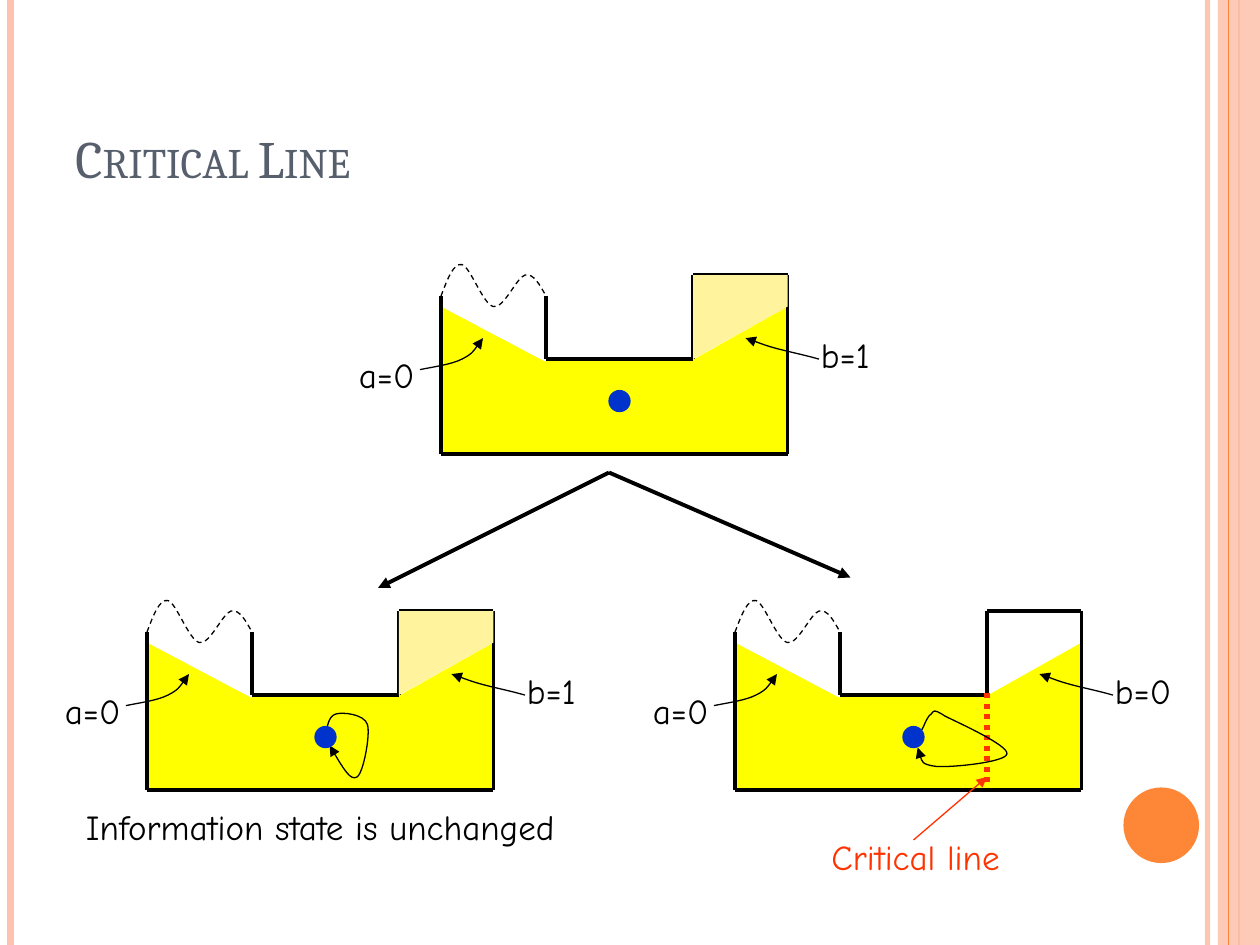
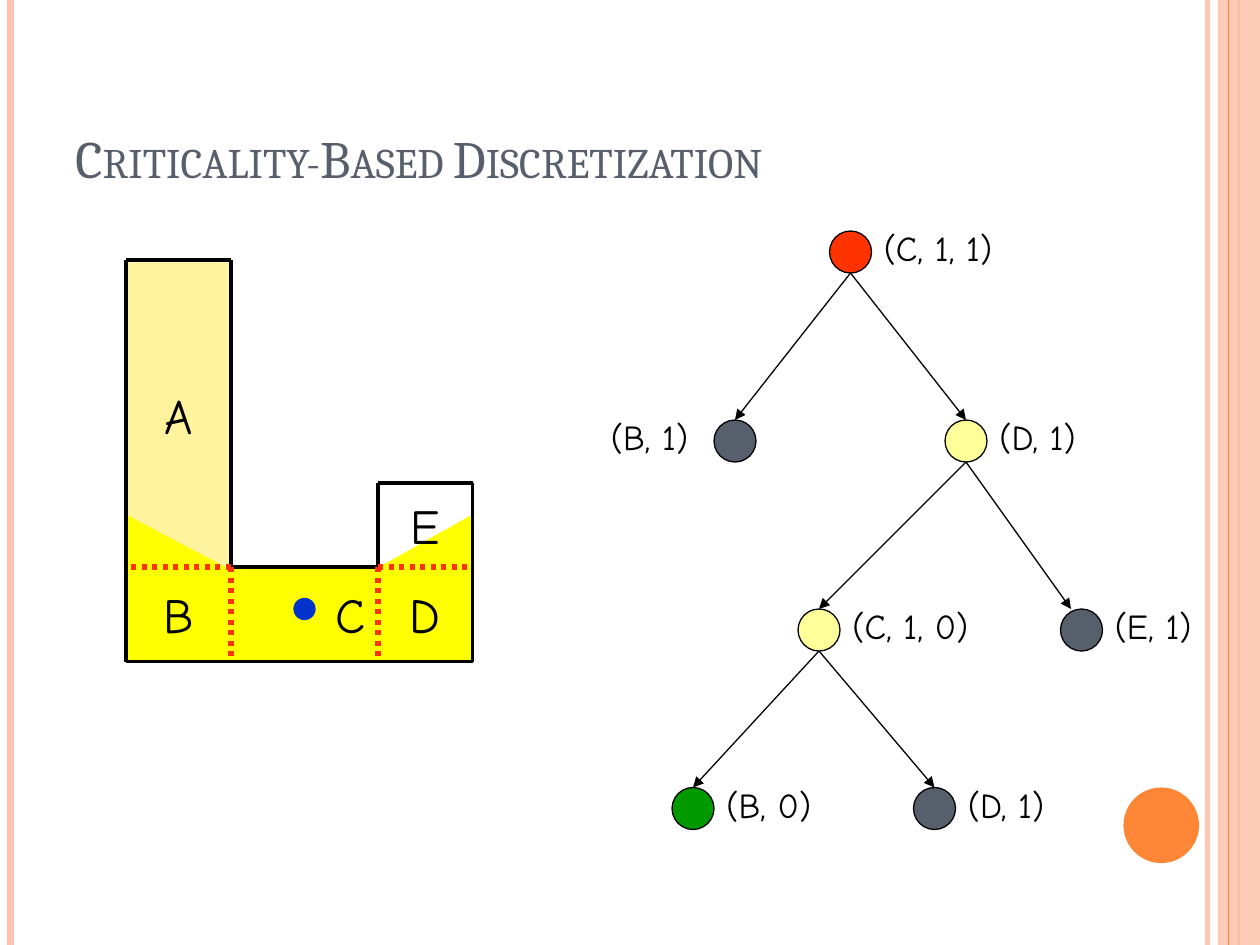
"""Build two slides on critical lines and criticality-based discretization."""
from itertools import pairwise

from lxml.etree import SubElement
from pptx import Presentation
from pptx.dml.color import RGBColor
from pptx.enum.dml import MSO_LINE
from pptx.enum.shapes import MSO_CONNECTOR, MSO_SHAPE
from pptx.enum.text import MSO_ANCHOR, MSO_AUTO_SIZE, PP_ALIGN
from pptx.oxml.ns import qn
from pptx.util import Emu, Pt

PX = 7620
BLACK, RED, BLUE = "000000", "FF3300", "0033CC"
YELLOW, SAND, PALE = "FFFF00", "FFF39D", "FFFF99"
SLATE, GREEN, ORANGE, PEACH = "575F6D", "009900", "FE8637", "FEC3AE"

ALCOVE = (100, 60)
NICHE = (240, 60)
WALLS = [(100, 0), ALCOVE, NICHE, (240, -20), (330, -20), (330, 150), (0, 150), (0, 0)]
LIT_AREA = [(0, 10), (170, 100), (330, 10), (330, 150), (0, 150)]
SHADED_NICHE = [(240, -20), (330, -20), (330, 10), NICHE]
OPEN_END = [(0, 0), (6, -16), (12, -32), (20, -30), (28, -28), (40, 8), (50, 10),
            (60, 12), (72, -18), (80, -20), (88, -22), (94, -11), (100, 0)]
A_POINTER = [(-20, 70), (-5, 67), (10, 65), (20, 60), (30, 55), (35, 47), (40, 40)]
B_POINTER = [(360, 60), (346, 56), (331, 53), (320, 50), (309, 47), (299, 43), (290, 40)]
SHORT_LOOP = [(170, 98), (172, 89), (173, 80), (180, 78), (186, 76), (207, 78), (210, 88),
              (213, 98), (206, 135), (200, 138), (194, 142), (184, 125), (174, 108)]
LONG_LOOP = [(178, 93), (180, 90), (183, 80), (187, 78), (189, 76), (188, 72), (200, 80),
             (212, 86), (261, 108), (259, 116), (258, 124), (206, 129), (192, 128),
             (177, 126), (176, 118), (174, 110)]


def rgb(value):
    """Turn a hex string into a colour."""
    return RGBColor.from_string(value)


def set_alpha(element, percent):
    """Make the first solid colour of an element partly transparent."""
    color = element.find(".//" + qn("a:srgbClr"))
    SubElement(color, qn("a:alpha"), val=str(percent * 1000))


class Deck:
    """Hold the style, the current slide and the origin of the drawing."""

    def __init__(self):
        """Open an empty deck of 1200 by 900 px."""
        self.prs = Presentation()
        self.prs.slide_width, self.prs.slide_height = Emu(1200 * PX), Emu(900 * PX)
        self.slide = None
        self.origin = (0, 0)

    def place(self, x, y):
        """Turn a point relative to the origin into EMU."""
        return Emu((self.origin[0] + x) * PX), Emu((self.origin[1] + y) * PX)

    def add_slide(self, title):
        """Start a slide with the side bands, the disc and a title."""
        self.slide = self.prs.slides.add_slide(self.prs.slide_layouts[6])
        self.origin = (0, 0)
        self.line((1150, 0), (1150, 900), PEACH, 3, alpha=93)
        self.line((10, 0), (10, 900), PEACH, 4.5)
        self.line((1180, 0), (1180, 900), ORANGE, 1.5)
        self.shape(MSO_SHAPE.RECTANGLE, (1160, 0, 40, 900), PEACH, alpha=87)
        self.line((1170, 0), (1170, 900), ORANGE, 0.75)
        self.shape(MSO_SHAPE.OVAL, (1070, 750, 72, 72), ORANGE)
        heading = self.text(title, (60, 36, 980, 150), 30, SLATE, "Cambria")
        heading.text_frame.vertical_anchor = MSO_ANCHOR.BOTTOM
        heading.element.find(".//" + qn("a:defRPr")).set("cap", "small")

    def stroke(self, item, color, width, dash=None, arrow=False):
        """Style the line of a shape or connector."""
        item.line.color.rgb = rgb(color)
        item.line.width = Pt(width)
        if dash:
            item.line.dash_style = dash
        if arrow:
            SubElement(item.element.find(".//" + qn("a:ln")), qn("a:tailEnd"), type="triangle")

    def paint(self, item, fill=None, outline=None):
        """Fill and outline a shape, without a shadow."""
        item.shadow.inherit = False
        if fill:
            item.fill.solid()
            item.fill.fore_color.rgb = rgb(fill)
        else:
            item.fill.background()
        if outline:
            self.stroke(item, outline, 0.75)
        else:
            item.line.fill.background()

    def line(self, start, end, color=BLACK, width=2.25, dash=None, arrow=False, alpha=None):
        """Draw a straight line or arrow."""
        connector = self.slide.shapes.add_connector(
            MSO_CONNECTOR.STRAIGHT, *self.place(*start), *self.place(*end))
        self.stroke(connector, color, width, dash, arrow)
        if alpha:
            set_alpha(connector.element, alpha)
        SubElement(connector.element.find(qn("p:spPr")), qn("a:effectLst"))

    def shape(self, preset, box, fill, outline=None, alpha=None):
        """Draw a preset shape."""
        x, y, width, height = box
        item = self.slide.shapes.add_shape(
            preset, *self.place(x, y), Emu(width * PX), Emu(height * PX))
        self.paint(item, fill, outline)
        if alpha:
            set_alpha(item.element, alpha)

    def outline(self, points, closed):
        """Build a freeform through the points."""
        (x, y), *rest = [(self.origin[0] + x, self.origin[1] + y) for x, y in points]
        builder = self.slide.shapes.build_freeform(x, y, scale=PX)
        builder.add_line_segments(rest, close=closed)
        return builder.convert_to_shape()

    def polygon(self, points, fill):
        """Draw a filled polygon."""
        self.paint(self.outline(points, True), fill)

    def curve(self, points, dash=None, arrow=True):
        """Draw cubic curves, three points for each after the first."""
        item = self.outline(points, False)
        route = item.element.find(".//" + qn("a:path"))
        steps = route.findall(qn("a:lnTo"))
        for i in range(0, len(steps), 3):
            bezier = SubElement(route, qn("a:cubicBezTo"))
            for step in steps[i:i + 3]:
                bezier.append(step[0])
                route.remove(step)
        self.paint(item)
        self.stroke(item, BLACK, 0.75, dash, arrow)

    def text(self, words, box, size=20, color=BLACK, font="Comic Neue", align=None):
        """Write one paragraph in a wrapping box."""
        x, y, width, height = box
        item = self.slide.shapes.add_textbox(
            *self.place(x, y), Emu(width * PX), Emu(height * PX))
        item.text_frame.word_wrap = True
        paragraph = item.text_frame.paragraphs[0]
        paragraph.text = words
        if align is not None:
            paragraph.alignment = align
        paragraph.font.size = Pt(size)
        paragraph.font.name = font
        paragraph.font.color.rgb = rgb(color)
        return item

    def label(self, words, x, y, width, color=BLACK):
        """Write a one-line label that fits its text."""
        frame = self.text(words, (x, y, width, 51), color=color).text_frame
        frame.word_wrap = False
        frame.auto_size = MSO_AUTO_SIZE.SHAPE_TO_FIT_TEXT

    def letter(self, words, box, align=PP_ALIGN.CENTER):
        """Write a large region letter in the middle of its region."""
        frame = self.text(words, box, 28, align=align).text_frame
        frame.vertical_anchor = MSO_ANCHOR.MIDDLE

    def room(self, x, y):
        """Move the origin to a room and draw its floor and walls."""
        self.origin = (x, y)
        self.shape(MSO_SHAPE.RECTANGLE, (*ALCOVE, 140, 40), YELLOW)
        self.polygon(LIT_AREA, YELLOW)
        for start, end in pairwise(WALLS):
            self.line(start, end)

    def open_room(self, x, y, b_label, b_width):
        """Draw a room with an open left end and its two edge labels."""
        self.room(x, y)
        self.curve(OPEN_END, MSO_LINE.DASH, arrow=False)
        if b_label == "b=1":
            self.polygon(SHADED_NICHE, SAND)
        self.label("a=0", -90, 49, 79)
        self.label(b_label, 350, 30, b_width)
        self.curve(A_POINTER)
        self.curve(B_POINTER)

    def robot(self):
        """Draw the robot of the current room."""
        self.shape(MSO_SHAPE.OVAL, (160, 90, 20, 20), BLUE, BLUE)

    def critical_line(self, start, end):
        """Draw a dotted critical line."""
        self.line(start, end, RED, 3, MSO_LINE.ROUND_DOT)


def critical_line_slide(deck):
    """Show how a move changes the information state or not."""
    deck.add_slide("Critical Line")
    deck.open_room(420, 282, "b=1", 76)
    deck.robot()
    deck.open_room(140, 602, "b=1", 76)
    deck.curve(SHORT_LOOP)
    deck.robot()
    deck.open_room(700, 602, "b=0", 82)
    deck.robot()
    deck.critical_line((240, 58), (240, 148))
    deck.curve(LONG_LOOP)

    deck.origin = (0, 0)
    deck.label("Information state is unchanged", 70, 761, 512)
    deck.label("Critical line", 780, 790, 203, RED)
    deck.line((870, 800), (940, 740), RED, 0.75, arrow=True)
    for outcome in [(360, 560), (810, 550)]:
        deck.line((580, 450), outcome, arrow=True)


def discretization_slide(deck):
    """Show the regions of a room and the tree of their states."""
    deck.add_slide("Criticality-Based Discretization")
    deck.origin = (120, 480)
    deck.shape(MSO_SHAPE.RECTANGLE, (0, -230, 100, 290), SAND)
    deck.room(120, 480)
    for start, end in pairwise([(0, 18), (0, -232), (100, -232), (100, 18)]):
        deck.line(start, end)
    for corner, wall_x in [(ALCOVE, 0), (NICHE, 330)]:
        deck.critical_line(corner, (wall_x, 60))
        deck.critical_line(corner, (corner[0], 150))
    deck.letter("A", (0, -230, 100, 290))
    deck.letter("B", (0, 60, 100, 90))
    deck.letter("C", (100, 60, 140, 90), PP_ALIGN.RIGHT)
    deck.letter("D", (240, 60, 90, 90))
    deck.letter("E", (240, -20, 90, 80))
    deck.robot()

    deck.origin = (0, 0)
    root, left, right = (810, 240), (700, 420), (920, 420)
    inner, far_right = (780, 600), (1030, 600)
    goal, last = (660, 770), (890, 770)
    states = [
        ("(C, 1, 1)", root, RED, 20, 137),
        ("(B, 1)", left, SLATE, -130, 104),
        ("(D, 1)", right, PALE, 20, 107),
        ("(C, 1, 0)", inner, PALE, 20, 143),
        ("(E, 1)", far_right, SLATE, 20, 103),
        ("(B, 0)", goal, GREEN, 20, 109),
        ("(D, 1)", last, SLATE, 20, 107),
    ]
    for name, (x, y), color, shift, width in states:
        deck.shape(MSO_SHAPE.OVAL, (x - 20, y - 20, 40, 40), color, BLACK)
        deck.label(name, x + shift, y - 30, width)
    moves = [(root, left, 0), (root, right, 0), (right, inner, 0),
             (right, far_right, -10), (inner, goal, 0), (inner, last, 0)]
    for (x, y), (child_x, child_y), shift in moves:
        deck.line((x, y + 20), (child_x + shift, child_y - 20), width=0.75, arrow=True)


def main():
    """Build and save the deck."""
    deck = Deck()
    critical_line_slide(deck)
    discretization_slide(deck)
    deck.prs.save("out.pptx")


if __name__ == "__main__":
    main()
